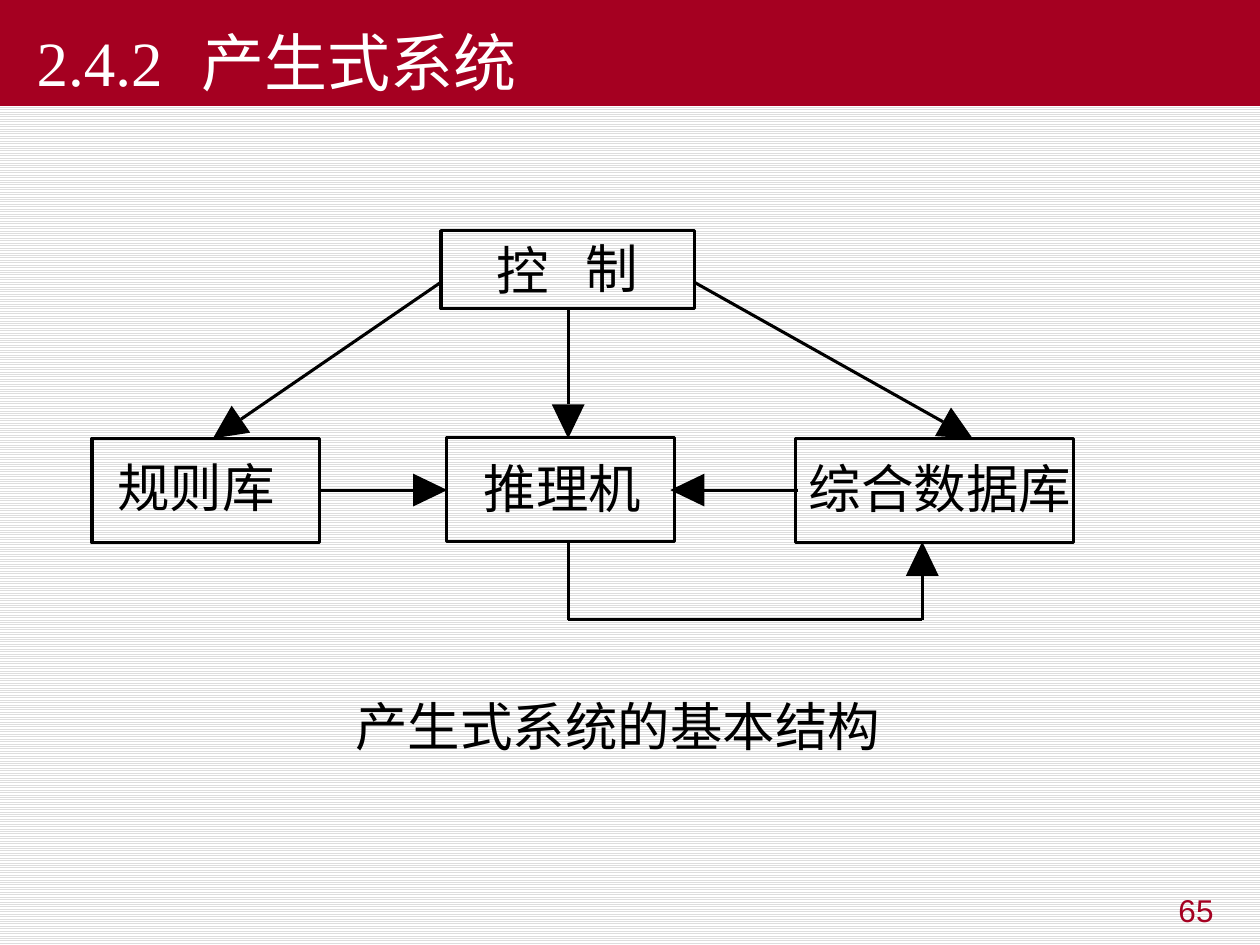
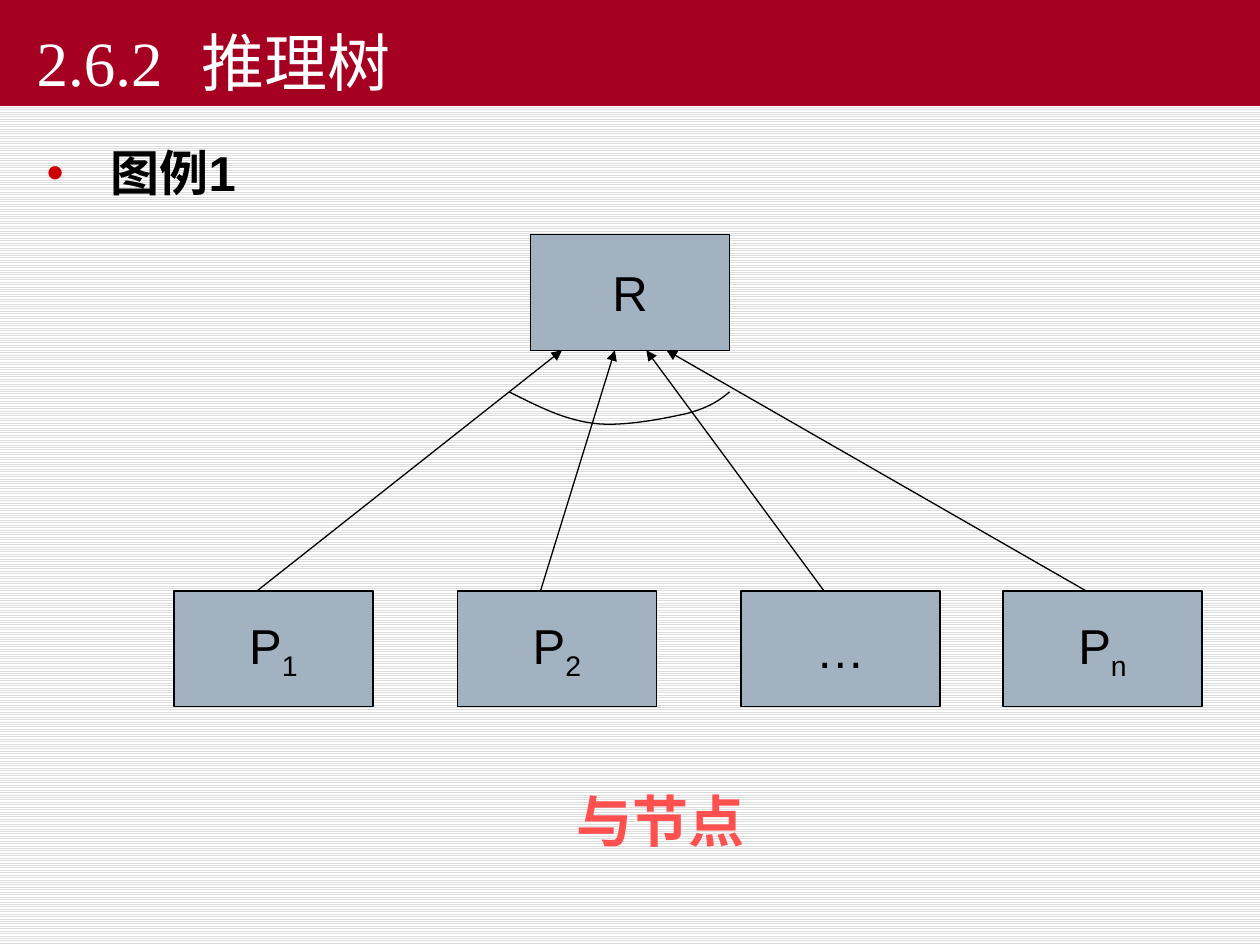
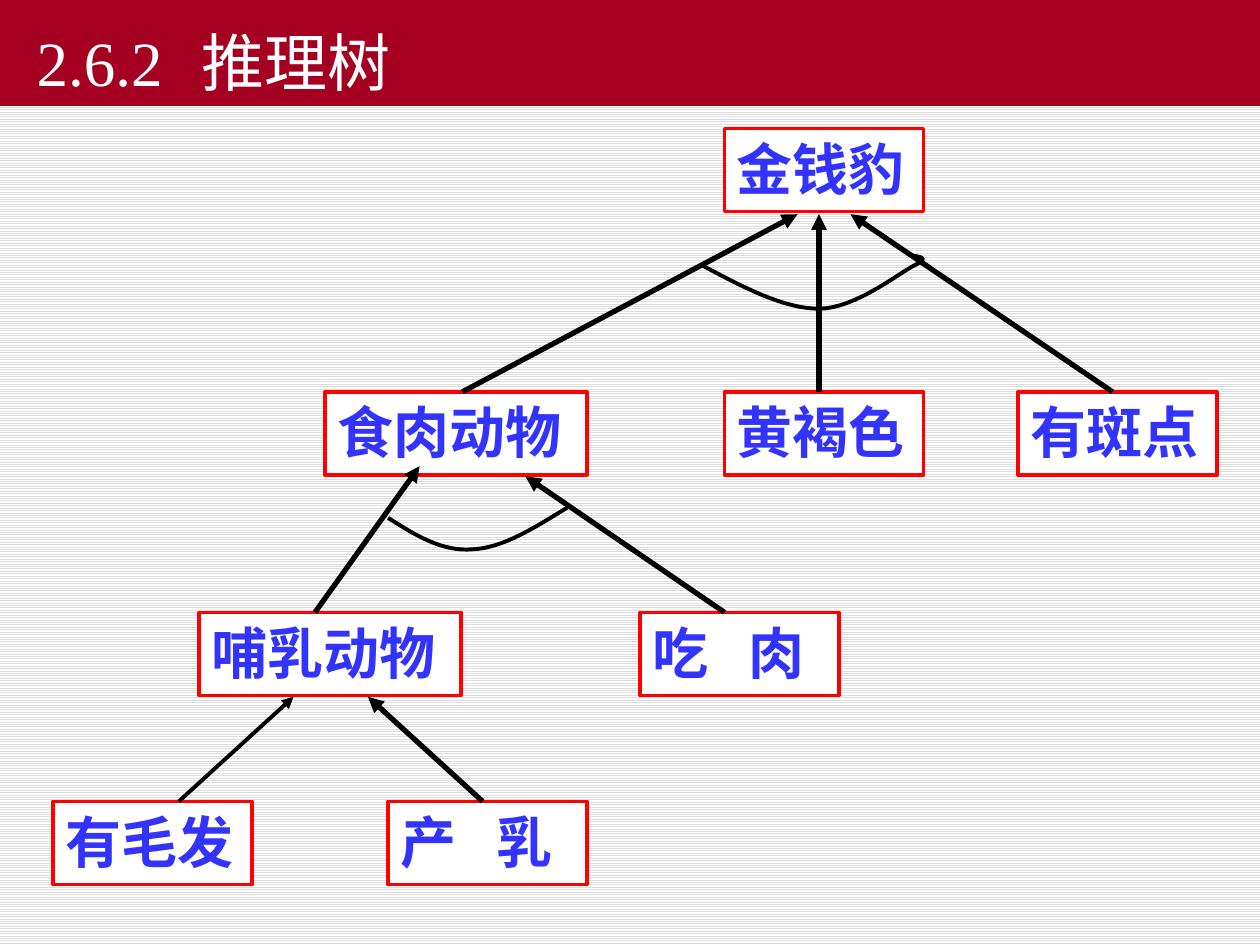
"""Build three slides on production systems and inference trees."""
import math

from lxml import etree
from pptx import Presentation
from pptx.dml.color import RGBColor
from pptx.enum.dml import MSO_PATTERN
from pptx.enum.shapes import MSO_CONNECTOR, MSO_SHAPE
from pptx.enum.text import MSO_ANCHOR, MSO_AUTO_SIZE, PP_ALIGN
from pptx.oxml.ns import qn
from pptx.util import Inches, Pt

LIGHT_LINES = MSO_PATTERN.LIGHT_HORIZONTAL
STRAIGHT = MSO_CONNECTOR.STRAIGHT
RECTANGLE = MSO_SHAPE.RECTANGLE
TOP, MIDDLE, BOTTOM = MSO_ANCHOR.TOP, MSO_ANCHOR.MIDDLE, MSO_ANCHOR.BOTTOM
FIXED_SIZE = MSO_AUTO_SIZE.NONE
LEFT, CENTER, RIGHT = PP_ALIGN.LEFT, PP_ALIGN.CENTER, PP_ALIGN.RIGHT

CRIMSON = RGBColor(0xA5, 0x00, 0x21)
WHITE = RGBColor(0xFF, 0xFF, 0xFF)
BLACK = RGBColor(0x00, 0x00, 0x00)
STRIPE = RGBColor(0xDD, 0xDD, 0xDD)
BULLET_RED = RGBColor(0xCC, 0x00, 0x00)
SLATE = RGBColor(0xA3, 0xB2, 0xC1)
CORAL = RGBColor(0xFF, 0x50, 0x50)
RED = RGBColor(0xFF, 0x00, 0x00)
BLUE = RGBColor(0x33, 0x33, 0xFF)

SANS, SERIF, CHINESE = "Arial", "Times New Roman", "Noto Sans CJK SC"
TITLE_ONLY, TITLE_AND_BODY = 5, 1


class Deck:
    """Holds the shared style and the current slide."""

    def __init__(self):
        """Set the slide size and the striped background."""
        self.deck = Presentation()
        self.deck.slide_width, self.deck.slide_height = Inches(10), Inches(7.5)
        fill = self.deck.slide_master.background.fill
        fill.patterned()
        fill.pattern = LIGHT_LINES
        fill.fore_color.rgb, fill.back_color.rgb = STRIPE, WHITE
        self.page = None

    def new_page(self, title, layout=TITLE_ONLY):
        """Add a slide with the crimson title band."""
        self.page = self.deck.slides.add_slide(self.deck.slide_layouts[layout])
        band = self.page.shapes.title
        self.place(band, (0, 0, 10, 0.84))
        band.fill.solid()
        band.fill.fore_color.rgb = CRIMSON
        para = self.add_text(band, [title], 36, WHITE, SERIF, anchor=BOTTOM, tab=1.56)
        para._p.get_or_add_pPr().set("indent", str(Inches(0.19)))

    def place(self, item, area):
        """Move an element to left, top, width, height."""
        item.left, item.top, item.width, item.height = map(Inches, area)

    def add_text(self, box, spans, size, color, font=SANS, bold=False, align=LEFT,
                 anchor=TOP, wrap=True, tab=None):
        """Fill a box with runs; every run after the first is a subscript."""
        frame = box.text_frame
        frame.auto_size = FIXED_SIZE
        frame.word_wrap = wrap
        frame.vertical_anchor = anchor
        para = frame.paragraphs[0]
        para.alignment = align
        if tab:
            tabs = etree.SubElement(para._p.get_or_add_pPr(), qn("a:tabLst"))
            etree.SubElement(tabs, qn("a:tab"), pos=str(Inches(tab)), algn="l")
        for index, text in enumerate(spans):
            span = para.add_run()
            span.text = text
            span.font.name, span.font.size, span.font.bold = font, Pt(size), bold
            span.font.color.rgb = color
            if index:
                span.font._element.set("baseline", "-25000")
        return para

    def bullet(self, text, area):
        """Put one bold bullet in the body placeholder."""
        body = self.page.placeholders[1]
        self.place(body, area)
        para = self.add_text(body, [text], 28, BLACK, bold=True)
        properties = para._p.get_or_add_pPr()
        properties.set("marL", str(Inches(0.51)))
        properties.set("indent", str(Inches(-0.51)))
        color = etree.SubElement(properties, qn("a:buClr"))
        etree.SubElement(color, qn("a:srgbClr"), val=str(BULLET_RED))
        etree.SubElement(properties, qn("a:buChar"), char="•")
        para.line_spacing = 1.2
        para.space_before = Pt(0)

    def label(self, text, area, size, color, inset=True, **style):
        """Add a text box."""
        box = self.page.shapes.add_textbox(*map(Inches, area))
        if not inset:
            frame = box.text_frame
            frame.margin_left = frame.margin_right = 0
            frame.margin_top = frame.margin_bottom = 0
        self.add_text(box, [text], size, color, **style)

    def box(self, area, line, width, fill=None):
        """Add an outlined rectangle."""
        box = self.page.shapes.add_shape(RECTANGLE, *map(Inches, area))
        self.paint(box, fill, line, width)
        return box

    def paint(self, shape, fill=None, line=None, width=0):
        """Set fill and outline and remove the shadow."""
        shape.shadow.inherit = False
        for target, color in ((shape.fill, fill), (shape.line.fill, line)):
            if color is None:
                target.background()
            else:
                target.solid()
                target.fore_color.rgb = color
        if line is not None:
            shape.line.width = Pt(width)

    def line(self, start, end, width, head=False):
        """Add a straight black line, with an arrowhead at its end if asked."""
        line = self.page.shapes.add_connector(STRAIGHT, *map(Inches, start + end))
        line.line.color.rgb = BLACK
        line.line.width = Pt(width)
        if head:
            etree.SubElement(line.line._ln, qn("a:tailEnd"), type="triangle")
        etree.SubElement(line._element.spPr, qn("a:effectLst"))

    def outline(self, points, closed):
        """Add a freeform through points."""
        spots = [(Inches(x), Inches(y)) for x, y in points]
        builder = self.page.shapes.build_freeform(*spots[0])
        builder.add_line_segments(spots[1:], close=closed)
        return builder.convert_to_shape()

    def big_arrow(self, start, tip, length=0.27, half_width=0.13):
        """Add a line that ends in a large solid triangle."""
        angle = math.atan2(tip[1] - start[1], tip[0] - start[0])
        across, down = math.cos(angle), math.sin(angle)
        base = (tip[0] - length * across, tip[1] - length * down)
        self.line(start, base, 1.75)
        corners = [(base[0] - side * down, base[1] + side * across)
                   for side in (half_width, -half_width)]
        self.paint(self.outline([corners[0], tip, corners[1]], True), BLACK)

    def curve(self, points, width, steps=16):
        """Add an open curve of joined cubic segments."""
        track = [points[0]]
        for first in range(0, len(points) - 1, 3):
            segment = points[first:first + 4]
            for step in range(1, steps + 1):
                t = step / steps
                weights = [math.comb(3, k) * t ** k * (1 - t) ** (3 - k)
                           for k in range(4)]
                track.append(tuple(
                    sum(w * point[axis] for w, point in zip(weights, segment))
                    for axis in (0, 1)))
        self.paint(self.outline(track, False), None, BLACK, width)


def production_system(deck):
    """Draw the basic structure of a production system."""
    deck.new_page("2.4.2\t产生式系统")
    deck.label("65", (7.4, 7.02, 2.33, 0.52), 18, CRIMSON, align=RIGHT)
    for area in ((3.5, 1.83, 2.01, 0.62), (0.73, 3.48, 1.81, 0.83),
                 (3.54, 3.47, 1.81, 0.83), (6.31, 3.48, 2.21, 0.83)):
        deck.box(area, BLACK, 1.75)
    for text, left, top in (("控", 3.94, 1.89), ("制", 4.65, 1.87),
                            ("规则库", 0.93, 3.61), ("推理机", 3.84, 3.62),
                            ("综合数据库", 6.42, 3.62),
                            ("产生式系统的基本结构", 2.82, 5.51)):
        deck.label(text, (left, top, 0.42 * len(text), 0.5), 30, BLACK,
                   inset=False, font=CHINESE, wrap=False)
    for start, tip in (((4.51, 2.45), (4.51, 3.48)), ((3.5, 2.24), (1.69, 3.48)),
                       ((5.51, 2.24), (7.72, 3.48)), ((2.54, 3.89), (3.55, 3.89)),
                       ((6.33, 3.89), (5.32, 3.89)), ((7.32, 4.92), (7.32, 4.3))):
        deck.big_arrow(start, tip)
    deck.line((4.51, 4.3), (4.51, 4.92), 1.75)
    deck.line((4.51, 4.92), (7.32, 4.92), 1.75)


def and_node(deck):
    """Draw an AND node with its premises."""
    deck.new_page("2.6.2\t推理树", TITLE_AND_BODY)
    deck.bullet("图例1", (0.27, 0.99, 9.45, 5.91))
    premises = ((["P", "1"], 1.38, 4.46), (["P", "2"], 3.63, 4.88),
                (["…"], 5.88, 5.13), (["P", "n"], 7.96, 5.29))
    nodes = [(["R"], 4.21, 1.86)]
    nodes += [(spans, left, 4.69) for spans, left, _ in premises]
    for spans, left, top in nodes:
        node = deck.box((left, top, 1.58, 0.92), BLACK, 0.75, SLATE)
        deck.add_text(node, spans, 28, BLACK, align=CENTER, anchor=MIDDLE, wrap=False)
    for _, left, target in premises:
        deck.line((left + 0.66, 4.69), (target, 2.78), 0.75, head=True)
    deck.curve([(4.04, 3.11), (4.26, 3.22), (4.47, 3.33), (4.71, 3.36),
                (4.95, 3.39), (5.28, 3.32), (5.46, 3.28),
                (5.64, 3.23), (5.72, 3.17), (5.79, 3.11)], 0.75)
    deck.label("与节点", (3.98, 6.19, 2.52, 0.64), 32, CORAL, bold=True, align=CENTER)


def leopard_tree(deck):
    """Draw the inference tree for the leopard."""
    deck.new_page("2.6.2\t推理树")
    for text, left, top in (("有毛发", 0.42, 6.36), ("产\t乳", 3.08, 6.36),
                            ("哺乳动物", 1.58, 4.86), ("吃\t肉", 5.08, 4.86),
                            ("食肉动物", 2.58, 3.11), ("黄褐色", 5.75, 3.11),
                            ("有斑点", 8.08, 3.11), ("金钱豹", 5.75, 1.02)):
        width = 2.08 if len(text) == 4 else 1.58
        fact = deck.box((left, top, width, 0.66), RED, 2, WHITE)
        deck.add_text(fact, [text], 32, BLUE, bold=True,
                      tab=0.76 if "\t" in text else None)
    deck.line((1.42, 6.36), (2.33, 5.53), 2.25, head=True)
    for start, end in (((3.83, 6.36), (2.92, 5.53)), ((5.75, 4.86), (4.17, 3.78)),
                       ((3.67, 3.11), (6.33, 1.7)), ((6.5, 3.11), (6.5, 1.7)),
                       ((8.83, 3.11), (6.75, 1.7)), ((2.5, 4.86), (3.33, 3.7))):
        deck.line(start, end, 3, head=True)
    deck.curve([(3.08, 4.11), (3.3, 4.25), (3.51, 4.38), (3.75, 4.36),
                (3.99, 4.35), (4.24, 4.19), (4.5, 4.03)], 2.25)
    deck.curve([(5.58, 2.11), (5.9, 2.28), (6.22, 2.45), (6.5, 2.45),
                (6.78, 2.45), (7.12, 2.18), (7.25, 2.11),
                (7.38, 2.05), (7.31, 2.04), (7.25, 2.03)], 2.25)


def main():
    """Build and save the deck."""
    deck = Deck()
    for draw in (production_system, and_node, leopard_tree):
        draw(deck)
    deck.deck.save("out.pptx")


if __name__ == "__main__":
    main()
